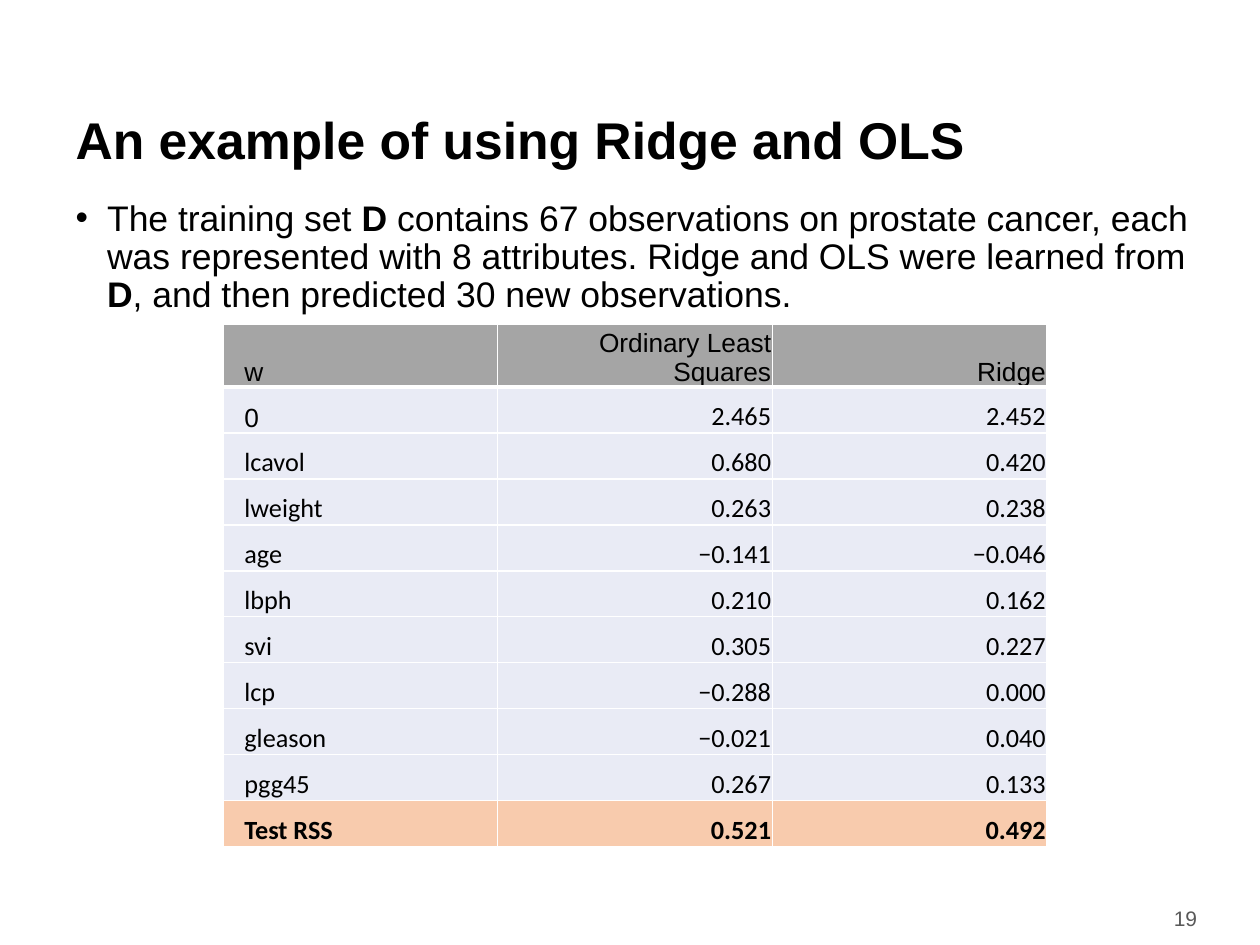
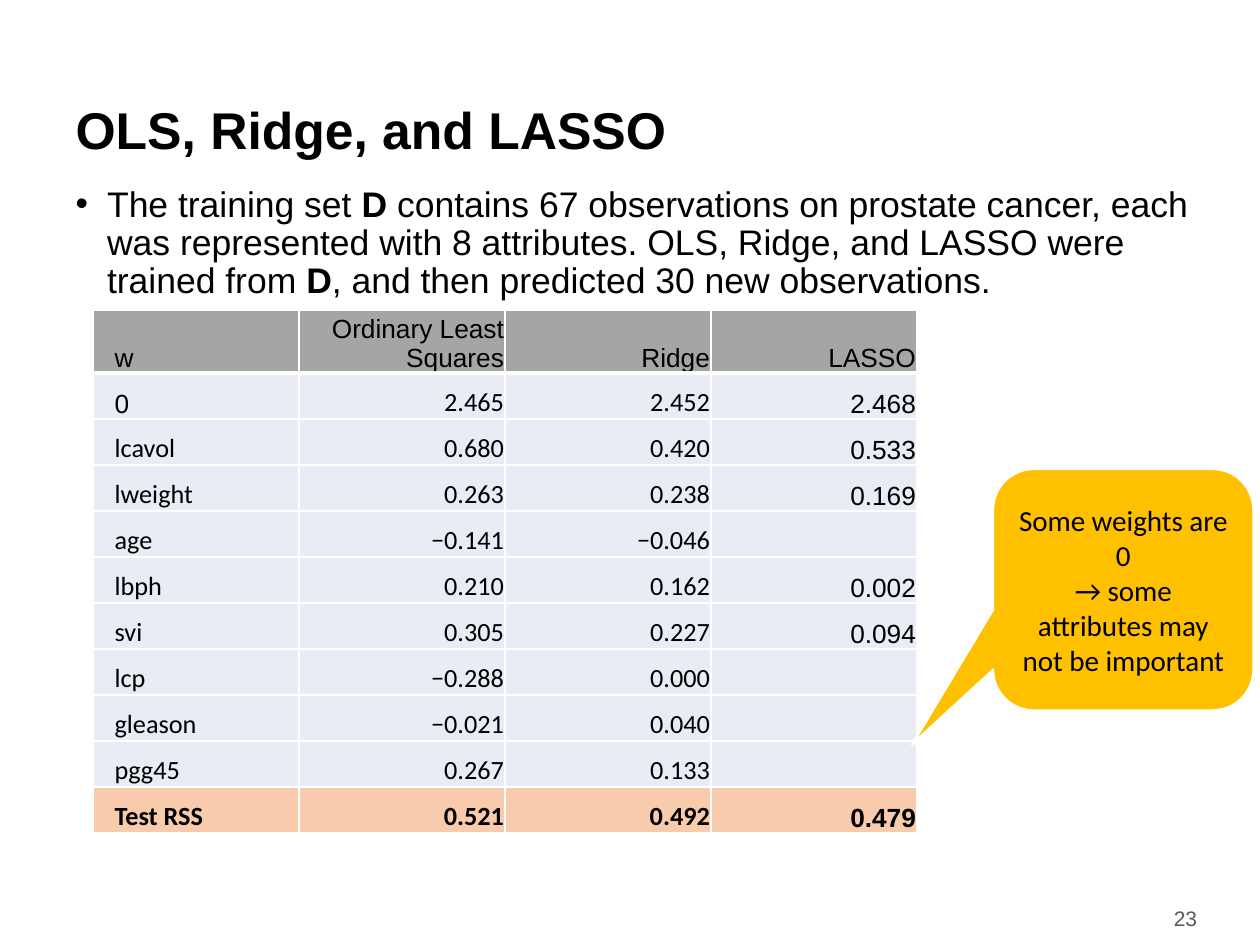
from lxml import etree
from pptx import Presentation
from pptx.dml.color import RGBColor
from pptx.enum.shapes import MSO_SHAPE
from pptx.enum.text import MSO_ANCHOR, MSO_AUTO_SIZE, PP_ALIGN
from pptx.oxml.ns import qn
from pptx.util import Inches, Pt

LEFT, CENTER, RIGHT = PP_ALIGN.LEFT, PP_ALIGN.CENTER, PP_ALIGN.RIGHT
MIDDLE, BOTTOM = MSO_ANCHOR.MIDDLE, MSO_ANCHOR.BOTTOM
CALLOUT = MSO_SHAPE.ROUNDED_RECTANGULAR_CALLOUT

BLACK = RGBColor(0x00, 0x00, 0x00)
WHITE = RGBColor(0xFF, 0xFF, 0xFF)
DARK_GREY = RGBColor(0x59, 0x59, 0x59)
HEADER_GREY = RGBColor(0xA5, 0xA5, 0xA5)
PALE_BLUE = RGBColor(0xE9, 0xEB, 0xF5)
PEACH = RGBColor(0xF8, 0xCB, 0xAD)
AMBER = RGBColor(0xFF, 0xC0, 0x00)

SANS, CALIBRI = "Arial", "Calibri"
COLS, ROWS = 100, 75  # slide grid

WEIGHTS = [
    ("w", "Ordinary Least Squares", "Ridge"),
    ("0", "2.465", "2.452"),
    ("lcavol", "0.680", "0.420"),
    ("lweight", "0.263", "0.238"),
    ("age", "−0.141", "−0.046"),
    ("lbph", "0.210", "0.162"),
    ("svi", "0.305", "0.227"),
    ("lcp", "−0.288", "0.000"),
    ("gleason", "−0.021", "0.040"),
    ("pgg45", "0.267", "0.133"),
    ("Test RSS", "0.521", "0.492"),
]
LASSO = ["LASSO", "2.468", "0.533", "0.169", "", "0.002", "0.094", "", "", "", "0.479"]


def add_text(p, text, size=15, font=SANS, color=BLACK, bold=False, align=LEFT):
    """Append one formatted run to a paragraph."""
    p.alignment = align
    r = p.add_run()
    r.text = text
    r.font.size, r.font.name, r.font.bold = Pt(size), font, bold
    r.font.color.rgb = color


def set_indent(p, left, first=0):
    pPr = p._p.get_or_add_pPr()
    pPr.set("marL", str(Inches(left)))
    pPr.set("indent", str(Inches(first)))
    return pPr


def set_borders(cell, bottom):
    tcPr = cell._tc.get_or_add_tcPr()
    widths = {"a:lnL": 1, "a:lnR": 1, "a:lnT": 1, "a:lnB": bottom}
    for i, (tag, width) in enumerate(widths.items()):
        ln = etree.Element(qn(tag), w=str(Pt(width)))
        fill = etree.SubElement(ln, qn("a:solidFill"))
        etree.SubElement(fill, qn("a:srgbClr"), val=str(WHITE))
        tcPr.insert(i, ln)


class Deck:
    def __init__(self):
        self.prs = Presentation()
        self.prs.slide_width, self.prs.slide_height = Inches(10), Inches(7.5)
        self.slide = None

    def x(self, cols):
        return round(self.prs.slide_width * cols / COLS)

    def y(self, rows):
        return round(self.prs.slide_height * rows / ROWS)

    def box(self, left, top, width, height):
        return self.x(left), self.y(top), self.x(width), self.y(height)

    def place(self, sp, *at):
        sp.left, sp.top, sp.width, sp.height = self.box(*at)
        tf = sp.text_frame
        tf.word_wrap, tf.auto_size = True, MSO_AUTO_SIZE.NONE
        return tf

    def new_slide(self, title, top, number):
        self.slide = self.prs.slides.add_slide(self.prs.slide_layouts[1])
        tf = self.place(self.slide.shapes.title, 5, top, 92.5, 7.7)
        tf.vertical_anchor = MIDDLE
        p = tf.paragraphs[0]
        p.line_spacing = 0.9
        add_text(p, title, size=29.5, bold=True)
        # Page number
        at = (83.8, 70.9, 12.2, 4)
        tf = self.place(self.slide.shapes.add_textbox(*self.box(*at)), *at)
        tf.vertical_anchor = MIDDLE
        add_text(tf.paragraphs[0], number, size=12, color=DARK_GREY, align=RIGHT)

    def bullet(self, top, parts):
        """Fill the body; every second part is bold."""
        tf = self.place(self.slide.placeholders[1], 5, top, 92.5, 46.5)
        p = tf.paragraphs[0]
        pPr = set_indent(p, 0.25, -0.25)
        etree.SubElement(pPr, qn("a:buFont"), typeface=SANS)
        etree.SubElement(pPr, qn("a:buChar"), char="•")
        p.line_spacing, p.space_before = 0.9, Pt(0)
        for i, part in enumerate(parts):
            add_text(p, part, size=20.3, bold=i % 2 == 1)

    def table(self, left, top, rows):
        n, width, head, row = len(rows[0]), 65.4, 5, 3.65
        height = head + row * (len(rows) - 1)
        frame = self.slide.shapes.add_table(
            len(rows), n, *self.box(left, top, width, height))
        tbl = frame.table
        tbl.first_row = tbl.horz_banding = False
        for col in tbl.columns:
            col.width = self.x(width / n)
        for i, values in enumerate(rows):
            tbl.rows[i].height = self.y(row if i else head)
            for j, value in enumerate(values):
                self.cell(tbl.cell(i, j), value, i, j, i == len(rows) - 1)

    def cell(self, cell, value, i, j, last):
        cell.fill.solid()
        cell.fill.fore_color.rgb = PEACH if last else PALE_BLUE if i else HEADER_GREY
        cell.vertical_anchor = BOTTOM
        cell.margin_left = cell.margin_top = cell.margin_right = Inches(0.01)
        cell.margin_bottom = 0
        set_borders(cell, 1 if i else 3)
        if not value:
            return
        p = cell.text_frame.paragraphs[0]
        if j == 0:
            set_indent(p, 0.16)
        plain = i == 0 or j == 3 or (i, j) == (1, 0)
        add_text(p, value, font=SANS if plain else CALIBRI, bold=last,
                 align=RIGHT if j else LEFT)

    def callout(self, lines, *at):
        sp = self.slide.shapes.add_shape(CALLOUT, *self.box(*at))
        sp.shadow.inherit = False
        for i, value in enumerate((-0.81, 0.64, 0.17)):
            sp.adjustments[i] = value
        sp.fill.solid()
        sp.fill.fore_color.rgb = AMBER
        sp.line.color.rgb, sp.line.width = WHITE, Pt(1.5)
        tf = self.place(sp, *at)
        tf.vertical_anchor = MIDDLE
        p = tf.paragraphs[0]
        for i, line in enumerate(lines):
            if i:
                p.add_line_break()
            add_text(p, line, size=16.6, font=CALIBRI, align=CENTER)


def training_note(methods):
    return ["The training set ", "D",
            " contains 67 observations on prostate cancer, each was represented "
            f"with 8 attributes. {methods} from ", "D",
            ", and then predicted 30 new observations."]


def main():
    deck = Deck()

    # Ridge against ordinary least squares
    deck.new_slide("An example of using Ridge and OLS", 7.5, "19")
    deck.bullet(15.4, training_note("Ridge and OLS were learned"))
    deck.table(17.7, 25.7, WEIGHTS)

    # The same weights with LASSO added
    deck.new_slide("OLS, Ridge, and LASSO", 6.7, "23")
    deck.bullet(14.3, training_note("OLS, Ridge, and LASSO were trained"))
    deck.table(7.4, 24.6, [(*row, value) for row, value in zip(WEIGHTS, LASSO)])
    deck.callout(["Some weights are 0", "→ some attributes may not be important"],
                 78.8, 37.2, 20.7, 19.2)

    deck.prs.save("out.pptx")


if __name__ == "__main__":
    main()
